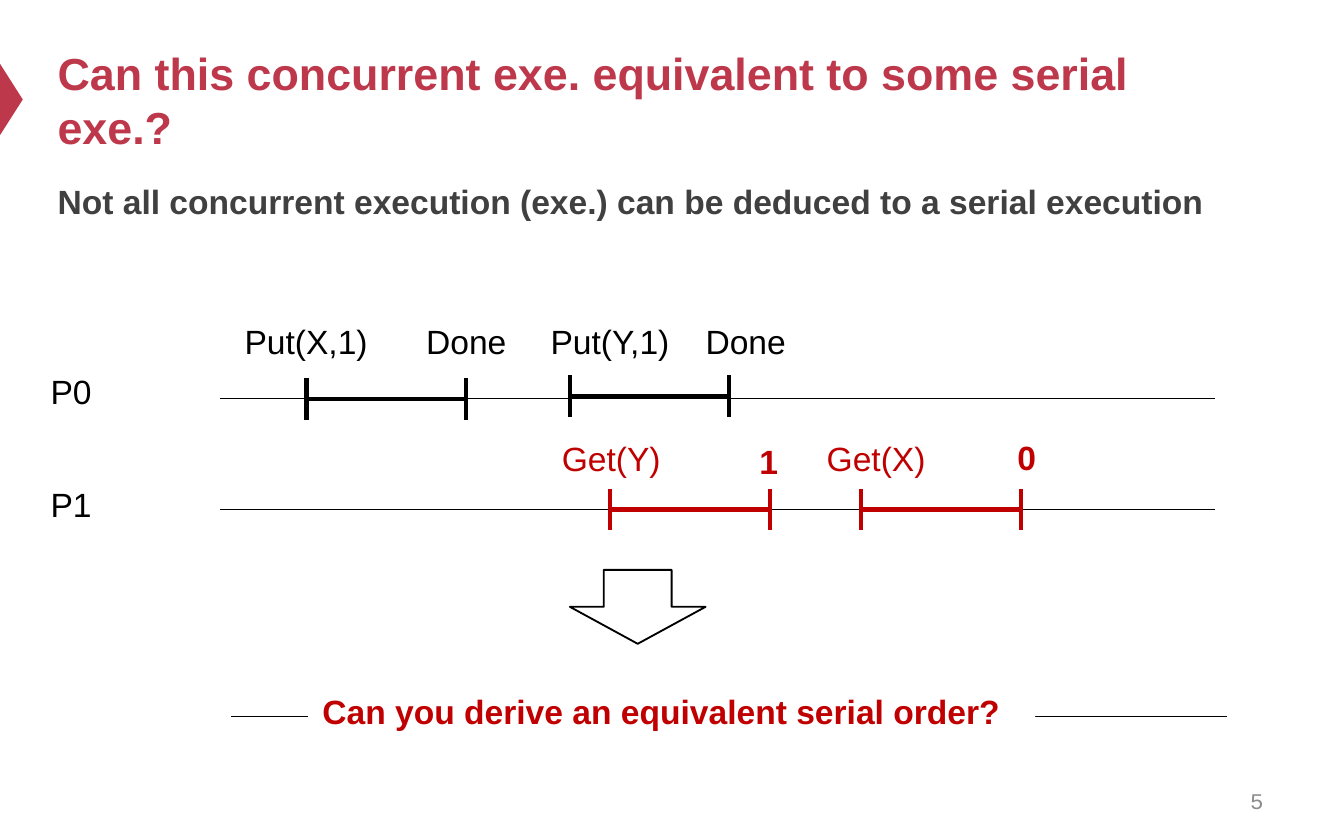
from collections import namedtuple

from lxml import etree
from pptx import Presentation
from pptx.dml.color import RGBColor
from pptx.enum import shapes, text
from pptx.oxml.ns import qn
from pptx.util import Pt

Box = namedtuple("Box", "left top width height")

COLORS = {
    "crimson": "BE384B",
    "red": "C00000",
    "black": "000000",
    "dark": "404040",
    "gray": "8C8C8C",
    "white": "FFFFFF",
}
LABEL_WIDTH, LABEL_HEIGHT = 92, 28.8
SPAN_WIDTH, TICK_HEIGHT = 85.4, 22.4


def color(name):
    return RGBColor.from_string(COLORS[name])


def write(shape, words, size, ink, bold=False, font="Arial",
          align=text.PP_ALIGN.LEFT, anchor=text.MSO_ANCHOR.TOP):
    frame = shape.text_frame
    frame.word_wrap = True
    frame.vertical_anchor = anchor
    paragraph = frame.paragraphs[0]
    paragraph.alignment = align
    run = paragraph.add_run()
    run.text = words
    run.font.size = Pt(size)
    run.font.name = font
    run.font.bold = bold
    run.font.color.rgb = color(ink)
    return paragraph


def add_text(slide, box, *args, **options):
    shape = slide.shapes.add_textbox(*map(Pt, box))
    return write(shape, *args, **options)


def add_line(parent, x1, y1, x2, y2, ink="black", weight=0.75):
    line = parent.shapes.add_connector(
        shapes.MSO_CONNECTOR.STRAIGHT, Pt(x1), Pt(y1), Pt(x2), Pt(y2))
    line.line.color.rgb = color(ink)
    line.line.width = Pt(weight)
    properties = line._element.find(qn("p:spPr"))
    etree.SubElement(properties, qn("a:effectLst"))


def add_preset(slide, kind, box, fill=None, outline=None):
    shape = slide.shapes.add_shape(kind, *map(Pt, box))
    shape.shadow.inherit = False
    if fill:
        shape.fill.solid()
        shape.fill.fore_color.rgb = color(fill)
    else:
        shape.fill.background()
    if outline:
        shape.line.color.rgb = color(outline)
        shape.line.width = Pt(1)
    else:
        shape.line.fill.background()
    return shape


def add_heading(slide, box):
    marker_width, marker_height = 38.2, 12.2
    marker = add_preset(
        slide, shapes.MSO_SHAPE.ISOSCELES_TRIANGLE,
        Box((marker_height - marker_width) / 2,
            box.top + (box.height - marker_height) / 2,
            marker_width, marker_height), fill="crimson")
    marker.rotation = 90
    add_text(slide, box, "Can this concurrent exe. equivalent to some serial exe.?",
             24, "crimson", bold=True, anchor=text.MSO_ANCHOR.MIDDLE)


def add_statement(slide, box):
    paragraph = add_text(
        slide, box,
        "Not all concurrent execution (exe.) can be deduced to a serial execution",
        18, "dark", bold=True)
    paragraph.line_spacing = 1.2


def add_span(slide, left, middle, ink):
    """Draw one operation as a bar between two ticks."""
    group = slide.shapes.add_group_shape()
    right = left + SPAN_WIDTH
    for x in (left, right):
        add_line(group, x, middle - TICK_HEIGHT / 2, x, middle + TICK_HEIGHT / 2,
                 ink, 2.25)
    add_line(group, left, middle, right, middle, ink, 2.25)


def add_timeline(slide, box, process, name_top, ink, spans, labels):
    """Place spans (x, y) and labels (words, x, y, bold) from the box's corner."""
    middle = box.top + box.height
    add_text(slide, Box(box.left, box.top + name_top, 51, LABEL_HEIGHT),
             process, 18, "black")
    add_line(slide, box.left + 98, middle, box.left + box.width, middle)
    for x, y in spans:
        add_span(slide, box.left + x, box.top + y, ink)
    for words, x, y, bold in labels:
        add_text(slide, Box(box.left + x, box.top + y, LABEL_WIDTH, LABEL_HEIGHT),
                 words, 18, ink, bold=bold, align=text.PP_ALIGN.CENTER)


def add_question(slide, box):
    middle = box.top + box.height / 2 + 2.7
    add_line(slide, box.left, middle, box.left + box.width, middle)
    panel = add_preset(slide, shapes.MSO_SHAPE.RECTANGLE,
                       Box(box.left + 41, box.top, 389.5, box.height), fill="white")
    panel.text_frame.margin_right = Pt(18)
    write(panel, "Can you derive an equivalent serial order?", 18, "red", bold=True,
          align=text.PP_ALIGN.CENTER)


def add_page_number(slide, box):
    add_text(slide, box, "5", 12, "gray", font="Courier New",
             align=text.PP_ALIGN.RIGHT, anchor=text.MSO_ANCHOR.MIDDLE)


def main():
    presentation = Presentation()
    presentation.slide_width, presentation.slide_height = Pt(720), Pt(450)
    slide = presentation.slides.add_slide(presentation.slide_layouts[6])

    add_heading(slide, Box(23.8, 18, 648, 70.6))
    add_statement(slide, Box(23.8, 89.3, 648, 73.4))
    add_timeline(
        slide, Box(20, 168.5, 631, 45.1), "P0", 26.7, "black",
        spans=[(144.2, 45.1), (285.2, 43.7)],
        labels=[("Put(X,1)", 98, 0, False), ("Done", 183.8, 0, False),
                ("Put(Y,1)", 260.8, 0, False), ("Done", 333.5, 0, False)])
    add_timeline(
        slide, Box(20, 231, 631, 42), "P1", 24.5, "red",
        spans=[(306.9, 42), (441.4, 42)],
        labels=[("Get(Y)", 261.5, 0, False), ("1", 345.8, 1.6, True),
                ("Get(X)", 403.4, 0, False), ("0", 484, -0.6, True)])
    add_preset(slide, shapes.MSO_SHAPE.DOWN_ARROW, Box(305.3, 305.3, 72.7, 39.6),
               outline="black")
    add_question(slide, Box(124, 366.6, 533.4, LABEL_HEIGHT))
    add_page_number(slide, Box(516.2, 416.9, 167.8, 23.8))
    presentation.save("out.pptx")


if __name__ == "__main__":
    main()
